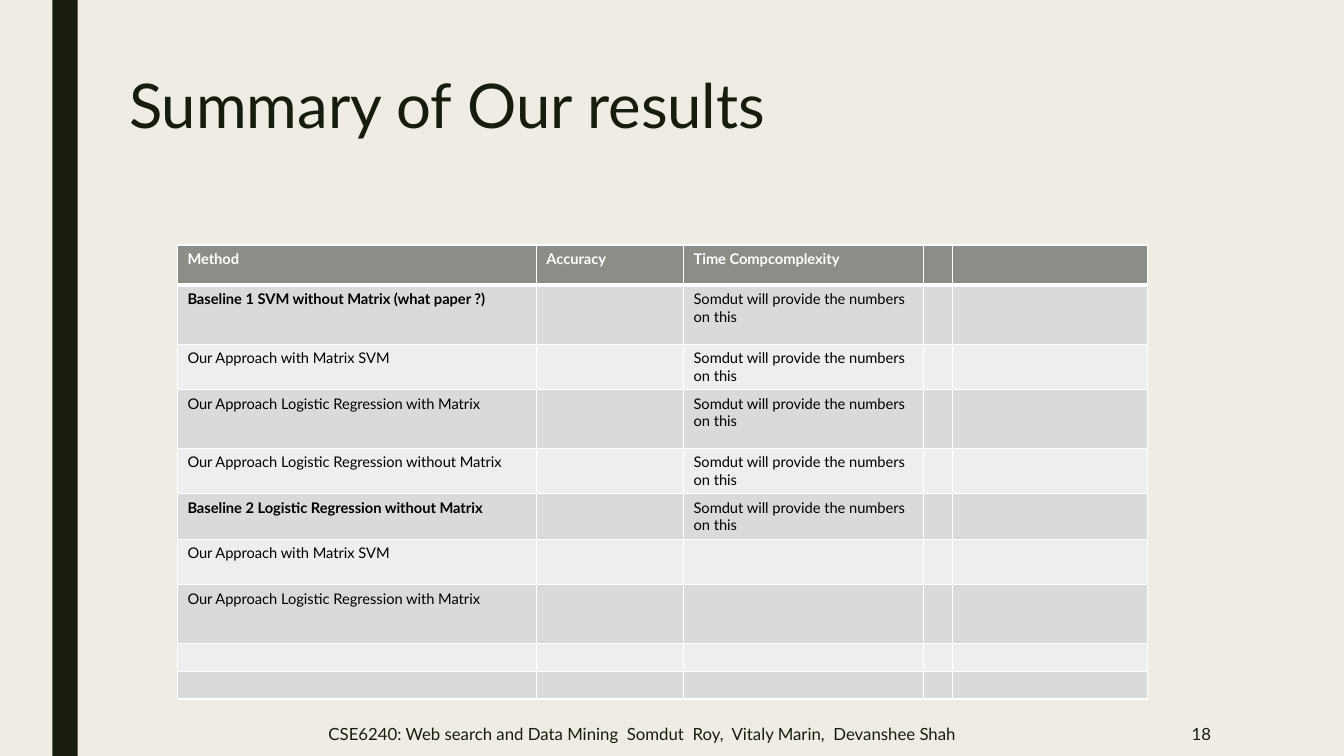
from pptx import Presentation
from pptx.dml.color import RGBColor
from pptx.enum.shapes import MSO_SHAPE
from pptx.enum.text import MSO_ANCHOR, MSO_AUTO_SIZE, PP_ALIGN
from pptx.oxml.ns import qn
from pptx.util import Inches, Pt
from lxml.etree import SubElement

SLIDE_W, SLIDE_H = 13.33, 7.5
FONT = "Lato"
DARK, PAPER, WHITE, BLACK = "191B0E", "EFEDE3", "FFFFFF", "000000"
HEADER_FILL, BAND_FILLS = "8C8D86", ("DADBD9", "EEEEED")
TABLE_SIZE = 10.5

COLUMN_WIDTHS = (3.56, 1.46, 2.38, 0.29, 1.93)
HEADER_H, TALL, MEDIUM, SHORT = 0.4, 0.585, 0.45, 0.275
HEADINGS = ("Method", "Accuracy", "Time Compcomplexity", "", "")
PENDING = "Somdut will provide the numbers on this"
RESULTS = (
    ("Baseline 1 SVM without Matrix (what paper ?)", PENDING, TALL),
    ("Our Approach with Matrix SVM", PENDING, MEDIUM),
    ("Our Approach Logistic Regression with Matrix", PENDING, TALL),
    ("Our Approach Logistic Regression without Matrix", PENDING, MEDIUM),
    ("Baseline 2 Logistic Regression without Matrix", PENDING, MEDIUM),
    ("Our Approach with Matrix SVM", "", MEDIUM),
    ("Our Approach Logistic Regression with Matrix", "", TALL),
    ("", "", SHORT),
    ("", "", SHORT),
)


def rgb(color):
    return RGBColor.from_string(color)


def inches(box):
    return [Inches(length) for length in box]


def add_run(paragraph, text, size, color, bold=False):
    run = paragraph.add_run()
    run.text = text
    font = run.font
    font.name, font.size, font.bold = FONT, Pt(size), bold
    font.color.rgb = rgb(color)


def add_side_bar(slide, box):
    bar = slide.shapes.add_shape(MSO_SHAPE.RECTANGLE, *inches(box))
    bar.shadow.inherit = False
    bar.fill.solid()
    bar.fill.fore_color.rgb = rgb(DARK)
    bar.line.fill.background()


def place_title(slide, box, text):
    title = slide.shapes.title
    title.left, title.top, title.width, title.height = inches(box)
    frame = title.text_frame
    frame.word_wrap = True
    frame.auto_size = MSO_AUTO_SIZE.NONE
    frame.vertical_anchor = MSO_ANCHOR.TOP
    paragraph = frame.paragraphs[0]
    paragraph.alignment = PP_ALIGN.LEFT
    paragraph.line_spacing = 0.89
    add_run(paragraph, text, 44, DARK)


def add_footer(slide, box, text, alignment):
    frame = slide.shapes.add_textbox(*inches(box)).text_frame
    frame.word_wrap = True
    frame.vertical_anchor = MSO_ANCHOR.MIDDLE
    paragraph = frame.paragraphs[0]
    paragraph.alignment = alignment
    add_run(paragraph, text, 12, DARK)


def set_borders(cell, bottom, top):
    properties = cell._tc.get_or_add_tcPr()
    for side, width in (("L", 1), ("R", 1), ("T", top), ("B", bottom)):
        line = SubElement(properties, qn(f"a:ln{side}"), w=str(Pt(width)))
        fill = SubElement(line, qn("a:solidFill"))
        SubElement(fill, qn("a:srgbClr"), val=WHITE)


def fill_cell(cell, text, fill, color, bold, top=1, bottom=1):
    set_borders(cell, bottom, top)
    cell.fill.solid()
    cell.fill.fore_color.rgb = rgb(fill)
    paragraph = cell.text_frame.paragraphs[0]
    if text:
        add_run(paragraph, text, TABLE_SIZE, color, bold)
    else:
        end = SubElement(paragraph._p, qn("a:endParaRPr"), sz=str(int(TABLE_SIZE * 100)))
        SubElement(end, qn("a:latin"), typeface=FONT)


def add_results_table(slide, left, top):
    heights = (HEADER_H, *(height for _, _, height in RESULTS))
    box = inches((left, top, sum(COLUMN_WIDTHS), sum(heights)))
    table = slide.shapes.add_table(len(heights), len(COLUMN_WIDTHS), *box).table
    for column, width in zip(table.columns, COLUMN_WIDTHS):
        column.width = Inches(width)
    for row, height in zip(table.rows, heights):
        row.height = Inches(height)
    for column, heading in enumerate(HEADINGS):
        fill_cell(table.cell(0, column), heading, HEADER_FILL, WHITE, True, bottom=3)
    for index, (method, complexity, _) in enumerate(RESULTS):
        for column, text in enumerate((method, "", complexity, "", "")):
            fill_cell(table.cell(index + 1, column), text, BAND_FILLS[index % 2], BLACK,
                      text.startswith("Baseline"), top=1 if index else 3)


def build_results_slide(deck):
    slide = deck.slides.add_slide(deck.slide_layouts[5])
    slide.background.fill.solid()
    slide.background.fill.fore_color.rgb = rgb(PAPER)
    add_side_bar(slide, (0.52, 0, 0.25, SLIDE_H))
    place_title(slide, (1.18, 0.7, 10.5, 1.62), "Summary of Our results")
    footer_h = 0.44
    footer_top = SLIDE_H - footer_h
    add_footer(slide, (3.16, footer_top, 6.87, footer_h),
               "CSE6240: Web search and Data Mining  Somdut  Roy,  Vitaly Marin,  Devanshee Shah",
               PP_ALIGN.LEFT)
    add_footer(slide, (10.36, footer_top, 1.75, footer_h), "18", PP_ALIGN.RIGHT)
    add_results_table(slide, 1.76, 2.43)


def main():
    deck = Presentation()
    deck.slide_width, deck.slide_height = inches((SLIDE_W, SLIDE_H))
    build_results_slide(deck)
    deck.save("out.pptx")


if __name__ == "__main__":
    main()
